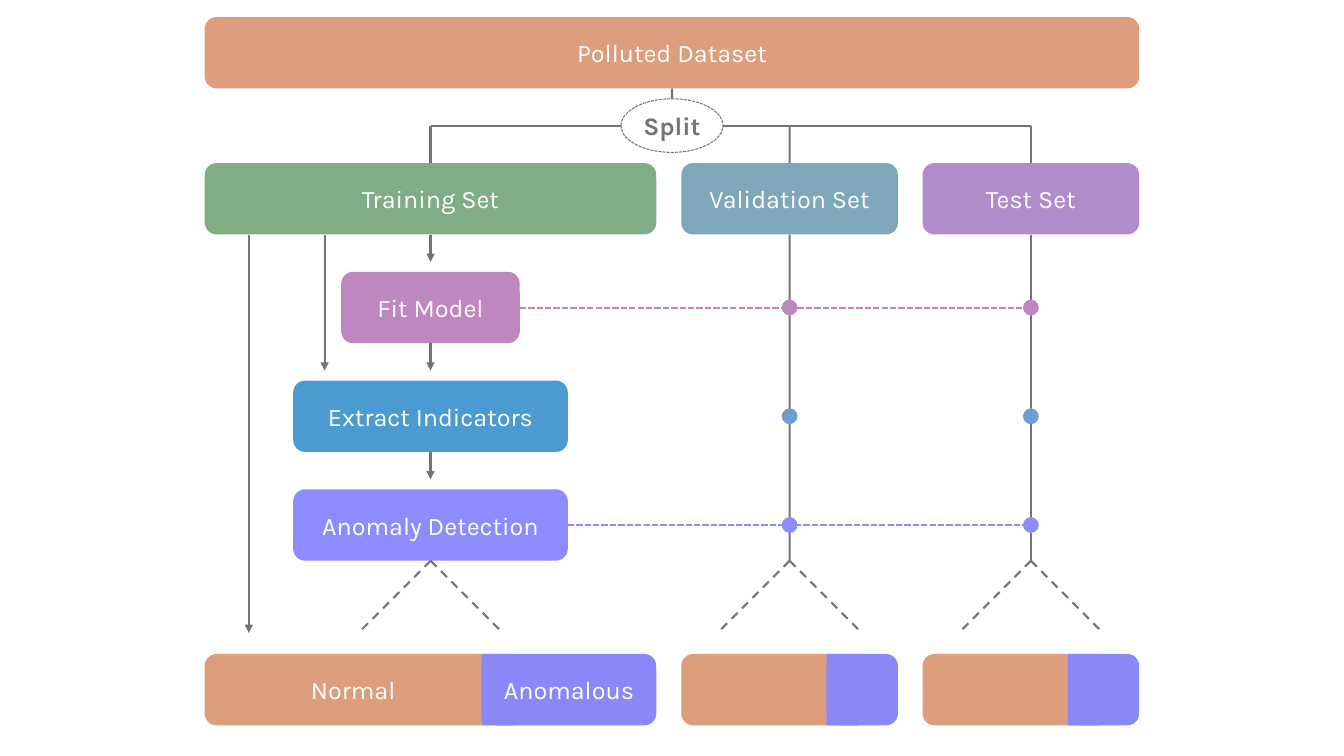
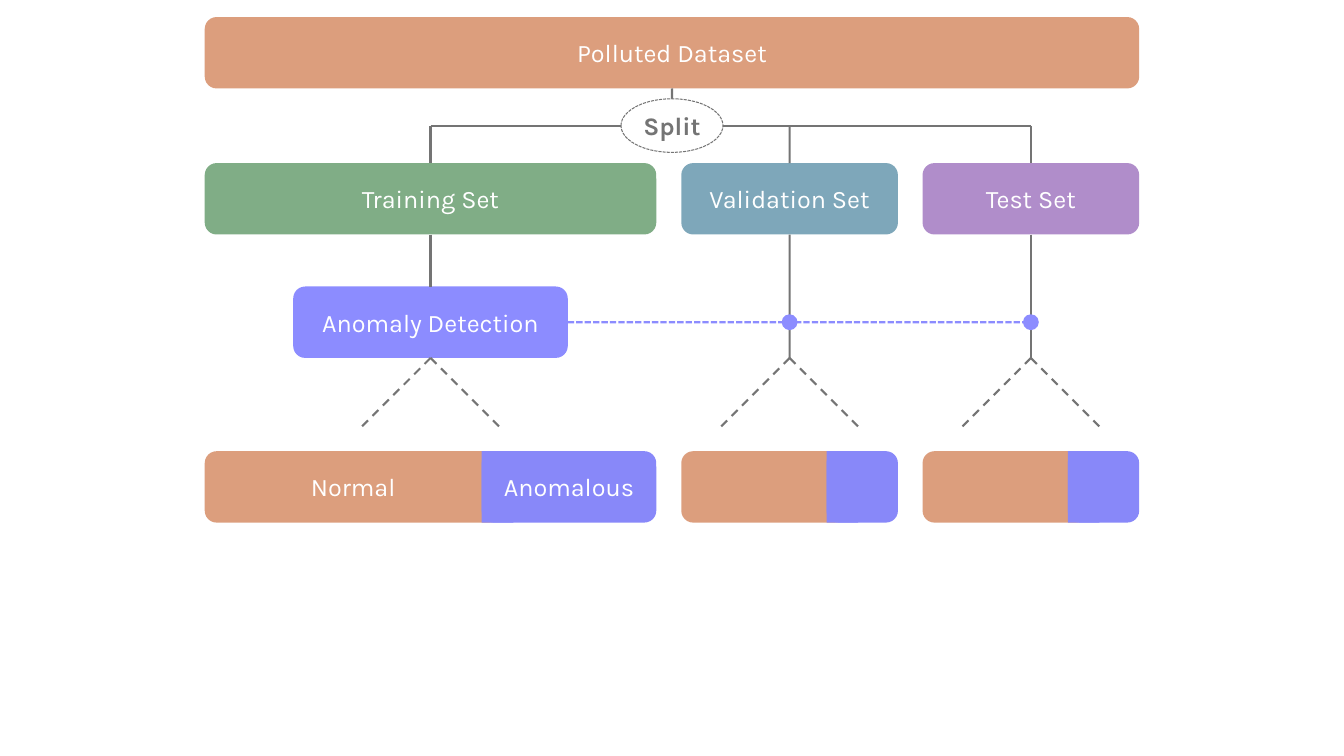
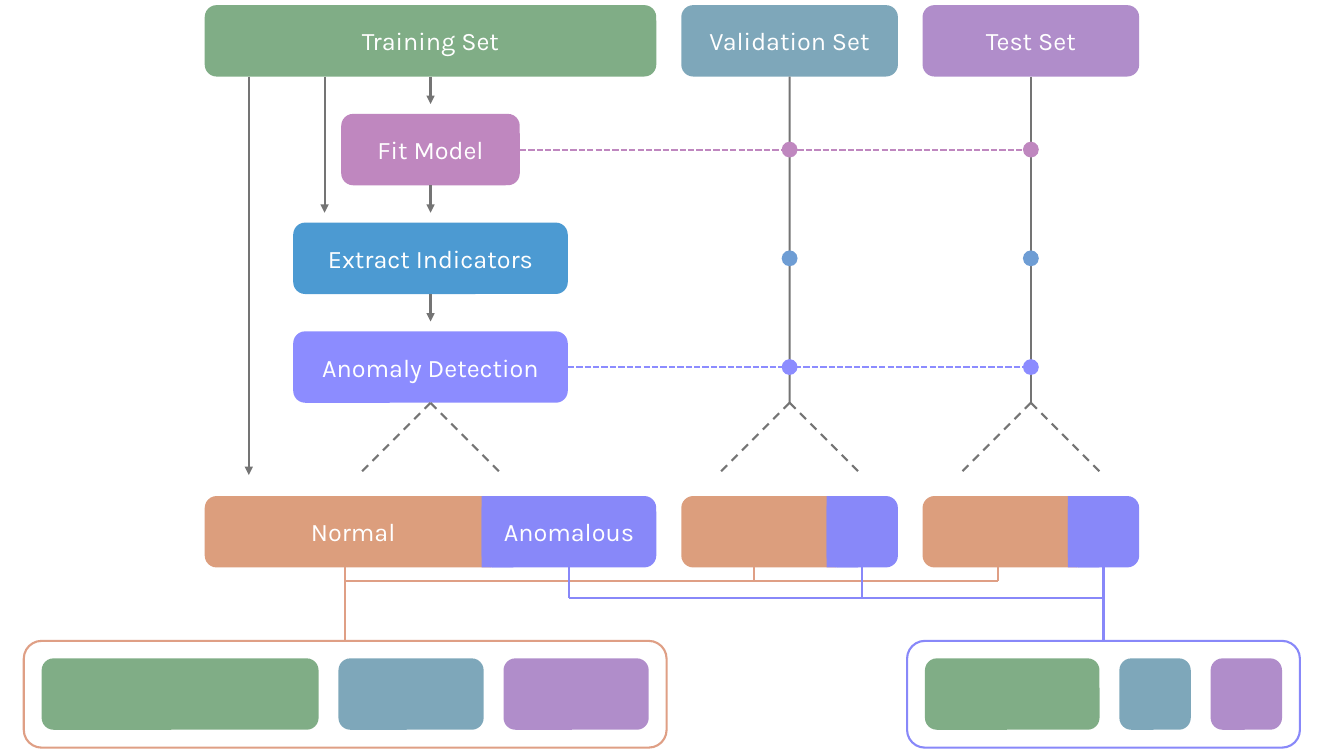
from pptx import Presentation
from pptx.dml.color import RGBColor
from pptx.enum.dml import MSO_LINE
from pptx.enum.shapes import MSO_CONNECTOR, MSO_SHAPE
from pptx.enum.text import MSO_ANCHOR, PP_ALIGN
from pptx.oxml.ns import qn
from pptx.util import Cm, Pt
from lxml import etree

WHITE = RGBColor(0xFF, 0xFF, 0xFF)
GREY = RGBColor(0x74, 0x74, 0x74)
RUST = RGBColor(0xC0, 0x4F, 0x14)
GREEN = RGBColor(0x19, 0x6B, 0x24)
TEAL = RGBColor(0x15, 0x60, 0x82)
PLUM = RGBColor(0x70, 0x30, 0xA0)
PINK = RGBColor(0xBF, 0x87, 0xBF)
BLUE = RGBColor(0x00, 0x70, 0xC0)
SKY = RGBColor(0x6E, 0x9D, 0xD4)
LILAC = RGBColor(0x8C, 0x8C, 0xFF)
VIOLET = RGBColor(0x88, 0x88, 0xF9)
PEACH = RGBColor(0xDF, 0x9F, 0x85)

ROUND = MSO_SHAPE.ROUNDED_RECTANGLE
RECT = MSO_SHAPE.RECTANGLE
OVAL = MSO_SHAPE.OVAL
STRAIGHT = MSO_CONNECTOR.STRAIGHT
DASH = MSO_LINE.DASH
DOTS = MSO_LINE.SQUARE_DOT
MIDDLE = MSO_ANCHOR.MIDDLE
CENTER = PP_ALIGN.CENTER
TOP, BOTTOM, RIGHT = 0, 2, 3

FONT = "Karla"
HIGH = 1.8
GAP = 0.5
PAD = 0.45
STEP = 2.74
LEFT = 5.16
AXES = (10.85, 19.9, 25.98)
SETS = (
    ("Training Set", 5.16, 11.38, 4.4, GREEN),
    ("Validation Set", 17.17, 5.46, 1.8, TEAL),
    ("Test Set", 23.25, 5.46, 1.8, PLUM),
)
STAGES = (
    ("Fit Model", 4.5, PINK, 100, PINK, True),
    ("Extract Indicators", 6.92, BLUE, 70, SKY, False),
    ("Anomaly Detection", 6.92, LILAC, 100, LILAC, True),
)


class Deck:
    def __init__(self):
        self.prs = Presentation()
        self.prs.slide_width = Cm(33.87)
        self.prs.slide_height = Cm(19.05)

    def page(self):
        self.slide = self.prs.slides.add_slide(self.prs.slide_layouts[6])

    def box(self, left, top, width, high=HIGH, fill=None, alpha=100, text="",
            kind=ROUND, edge=None, thick=1.5, dash=None, ink=WHITE, bold=False):
        shape = self.slide.shapes.add_shape(kind, Cm(left), Cm(top), Cm(width), Cm(high))
        shape.shadow.inherit = False
        if fill is None:
            shape.fill.background()
        else:
            shape.fill.solid()
            shape.fill.fore_color.rgb = fill
        if alpha < 100:
            tint = shape.fill._xPr.find(".//" + qn("a:srgbClr"))
            etree.SubElement(tint, qn("a:alpha"), val=str(alpha * 1000))
        if edge is None:
            shape.line.fill.background()
        else:
            shape.line.color.rgb = edge
            shape.line.width = Pt(thick)
            shape.line.dash_style = dash
        if text:
            frame = shape.text_frame
            frame.text = text
            frame.word_wrap = False
            frame.vertical_anchor = MIDDLE
            para = frame.paragraphs[0]
            para.alignment = CENTER
            font = para.runs[0].font
            font.name, font.size, font.bold = FONT, Pt(18), bold
            font.color.rgb = ink
        return shape

    def dot(self, x, y, fill):
        self.box(x - 0.2, y - 0.2, 0.4, 0.4, fill, kind=OVAL)

    def line(self, start, stop, ink=GREY, dash=None, arrow=False):
        spots = [(0, 0) if hasattr(end[0], "shape_id") else end for end in (start, stop)]
        link = self.slide.shapes.add_connector(
            STRAIGHT, *[Cm(value) for spot in spots for value in spot])
        for end, join in ((start, link.begin_connect), (stop, link.end_connect)):
            if hasattr(end[0], "shape_id"):
                join(*end)
        link.line.color.rgb = ink
        link.line.width = Pt(1.5)
        link.line.dash_style = dash
        if arrow:
            etree.SubElement(link.line._get_or_add_ln(), qn("a:tailEnd"), type="triangle")
        etree.SubElement(link._element.spPr, qn("a:effectLst"))

    def heads(self, top):
        return [self.box(left, top, width, fill=fill, alpha=55, text=name)
                for name, left, width, part, fill in SETS]

    def split(self, heads):
        data = self.box(LEFT, 0.43, 23.55, fill=RUST, alpha=55, text="Polluted Dataset")
        y = 3.17
        self.line((AXES[0], y), (AXES[2], y))
        for x, head in zip(AXES, heads):
            self.line((x, y), (head, TOP))
        self.line((data, BOTTOM), (16.94, y))
        self.box(15.65, 2.49, 2.57, 1.35, WHITE, text="Split", kind=OVAL, edge=GREY,
                 thick=0.75, dash=DOTS, ink=GREY, bold=True)

    def stage(self, top, plan):
        name, width, fill, alpha, ink, linked = plan
        box = self.box(AXES[0] - width / 2, top, width, fill=fill, alpha=alpha, text=name)
        y = top + HIGH / 2
        if linked:
            self.line((box, RIGHT), (AXES[2], y), ink, DOTS)
        return box, y, ink

    def fork(self, x, y, apex=None):
        for side in (-HIGH, HIGH):
            self.line(apex or (x, y), (x + side, y + HIGH), dash=DASH)

    def bars(self, top):
        ends = []
        for index, (name, left, width, part, fill) in enumerate(SETS):
            labels = ("", "") if index else ("Normal", "Anomalous")
            cut = left + width - part
            self.box(left, top, width - part + GAP, fill=RUST, alpha=55, text=labels[0])
            self.box(cut, top, 0.8, fill=VIOLET, kind=RECT)
            ends.append(self.box(cut, top, part, fill=VIOLET, text=labels[1]))
        return ends

    def flow(self, heads, top, tops, plans):
        stages = [self.stage(y, plan) for y, plan in zip(tops, plans)]
        last = stages[-1][0]
        base = tops[-1] + HIGH
        for x, head in zip(AXES[1:], heads[1:]):
            self.line((head, BOTTOM), (x, base))
            self.fork(x, base)
            for box, y, ink in stages:
                self.dot(x, y, ink)
        self.fork(AXES[0], base, (last, BOTTOM))
        floor = tops[-1] + 4.15
        if len(stages) == 1:
            self.line((heads[0], BOTTOM), (last, TOP))
        else:
            chain = [heads[0]] + [stage[0] for stage in stages]
            for box, y in zip(chain, tops):
                self.line((box, BOTTOM), (AXES[0], y - 0.25), arrow=True)
            for x, y in ((8.18, tops[1] - 0.25), (6.27, floor - 0.53)):
                self.line((x, top + HIGH), (x, y), arrow=True)
        return self.bars(floor)

    def full(self, heads, top):
        tops = [top + STEP * row for row in (1, 2, 3)]
        return self.flow(heads, top, tops, STAGES)

    def group(self, mid, top, widths, edge):
        width = sum(widths) + 2 * GAP + 2 * PAD
        left = mid - width / 2
        frame = self.box(left, top, width, 2.69, edge=edge)
        x = left + PAD
        for part, (name, start, size, cut, fill) in zip(widths, SETS):
            self.box(x, top + 0.44, part, fill=fill, alpha=55)
            x += part + GAP
        return frame

    def merge(self, starts, xs, y, frame, ink, trunk):
        for index, (start, x) in enumerate(zip(starts, xs)):
            stop = (frame, TOP) if index == trunk else (x, y)
            self.line(start, stop, ink)
        self.line((xs[0], y), (xs[-1], y), ink)


def main():
    deck = Deck()

    deck.page()
    heads = deck.heads(4.11)
    deck.split(heads)
    deck.full(heads, 4.11)

    deck.page()
    heads = deck.heads(4.11)
    deck.split(heads)
    deck.flow(heads, 4.11, [7.22], STAGES[-1:])

    deck.page()
    top = 0.13
    heads = deck.heads(top)
    ends = deck.full(heads, top)
    base = top + 3 * STEP + 4.15 + HIGH
    normal = [width - part for name, left, width, part, fill in SETS]
    odd = [part for name, left, width, part, fill in SETS]
    mids = [left + width - part / 2 for name, left, width, part, fill in SETS]
    xs = [8.7, 19, 25.15]
    frame = deck.group(xs[0], 16.15, normal, PEACH)
    deck.merge([(x, base) for x in xs], xs, 14.63, frame, PEACH, 0)
    frame = deck.group(mids[2], 16.15, odd, VIOLET)
    deck.merge([(end, BOTTOM) for end in ends], mids, 15.06, frame, VIOLET, 2)

    deck.prs.save("out.pptx")


if __name__ == "__main__":
    main()
